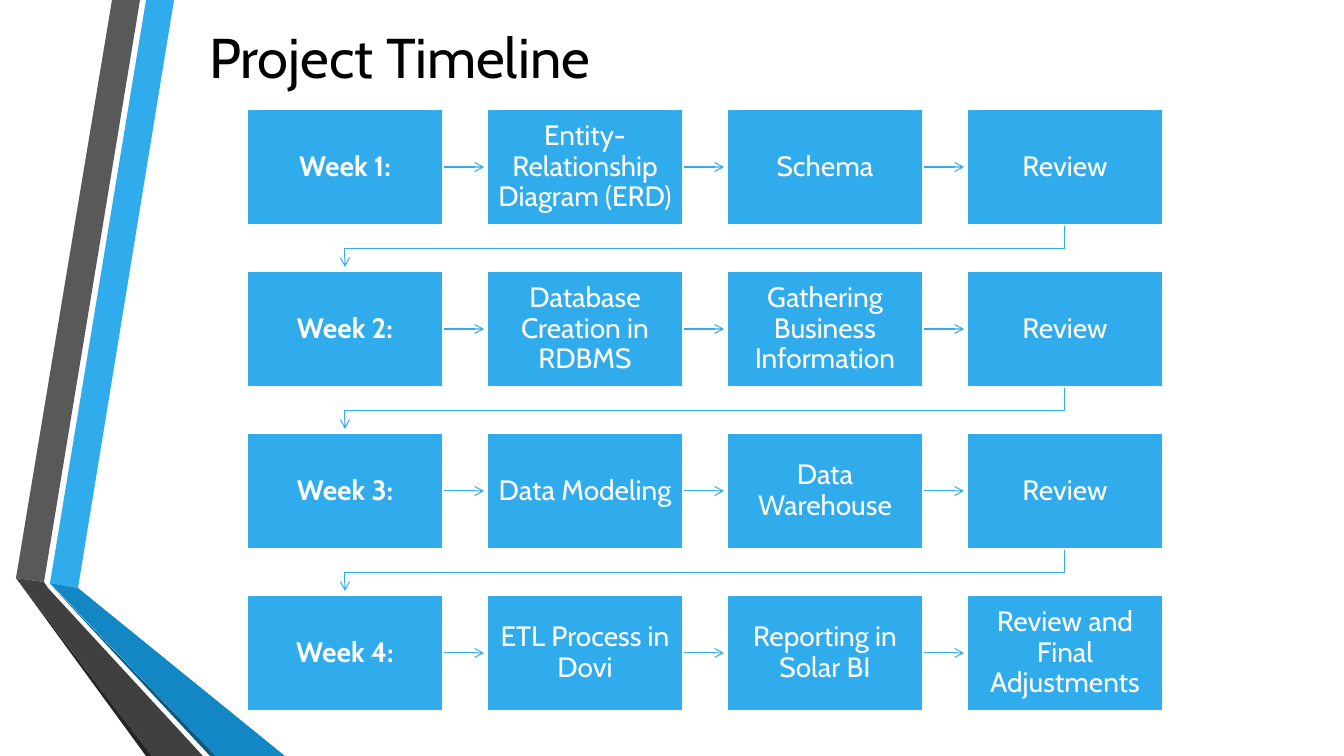
"""Draw a four-week project timeline as a grid of linked boxes."""
import pptx
import pptx.util
import pptx.dml.color
import pptx.enum.shapes
import pptx.enum.text
import pptx.oxml.ns
import lxml.etree

RGB = pptx.dml.color.RGBColor
BLACK = RGB(0x00, 0x00, 0x00)
WHITE = RGB(0xFF, 0xFF, 0xFF)
BLUE = RGB(0x30, 0xAC, 0xEC)
DEEP = RGB(0x12, 0x87, 0xC3)
NAVY = RGB(0x0C, 0x5A, 0x82)
GREY = RGB(0x59, 0x59, 0x59)
COAL = RGB(0x40, 0x40, 0x40)
SOOT = RGB(0x26, 0x26, 0x26)

SCALE = 914400 / 100.8
FONT = "Cabin"
LEFT, TOP = 247, 109
WIDE, HIGH = 196, 116
STEP_X, STEP_Y = 240, 162

BANDS = [
    (BLUE, [(50, 583), (78, 588), (174, 0), (146, 0)]),
    (GREY, [(140, 0), (112, 0), (16, 578), (44, 582)]),
    (SOOT, [(16, 578), (146, 756), (152, 756)]),
    (NAVY, [(50, 584), (210, 756), (216, 756)]),
    (DEEP, [(50, 583), (216, 756), (285, 756), (78, 588)]),
    (COAL, [(203, 756), (48, 588), (44, 582), (16, 578), (152, 756)]),
]
WEEKS = [
    ["Week 1:", "Entity-Relationship Diagram (ERD)", "Schema", "Review"],
    ["Week 2:", "Database Creation in RDBMS", "Gathering Business Information", "Review"],
    ["Week 3:", "Data Modeling", "Data Warehouse", "Review"],
    ["Week 4:", "ETL Process in Dovi", "Reporting in Solar BI", "Review and Final Adjustments"],
]


def px(*sizes):
    """Turn px into a list of EMU."""
    return [pptx.util.Emu(round(size * SCALE)) for size in sizes]


def write(frame, text, size, color, bold=False):
    """Put one centred run into a text frame."""
    frame.word_wrap = True
    frame.vertical_anchor = pptx.enum.text.MSO_ANCHOR.MIDDLE
    para = frame.paragraphs[0]
    para.alignment = pptx.enum.text.PP_ALIGN.CENTER
    para.line_spacing = 0.9
    run = para.add_run()
    run.text = text
    run.font.name = FONT
    run.font.size = pptx.util.Pt(size)
    run.font.bold = bold
    run.font.color.rgb = color


def trace(slide, points, close):
    """Build an outline through the points."""
    pen = slide.shapes.build_freeform(*points[0], scale=SCALE)
    pen.add_line_segments(points[1:], close=close)
    shape = pen.convert_to_shape()
    shape.shadow.inherit = False
    return shape


def add_band(slide, color, points):
    """Draw one filled band of the side ribbon."""
    band = trace(slide, points, True)
    band.fill.solid()
    band.fill.fore_color.rgb = color
    band.line.fill.background()


def tip(shape):
    """Give a line its colour, width and open arrowhead."""
    shape.line.color.rgb = BLUE
    shape.line.width = pptx.util.Pt(0.75)
    qn = pptx.oxml.ns.qn
    line = shape._element.spPr.find(qn("a:ln"))
    lxml.etree.SubElement(line, qn("a:tailEnd"), type="arrow")


def add_arrow(slide, x, y):
    """Draw a short arrow to the next box."""
    kind = pptx.enum.shapes.MSO_CONNECTOR.STRAIGHT
    arrow = slide.shapes.add_connector(kind, *px(x, y, x + 41, y))
    tip(arrow)
    lxml.etree.SubElement(arrow._element.spPr, pptx.oxml.ns.qn("a:effectLst"))
    return arrow


def add_turn(slide, start, end, y):
    """Draw the bent arrow down to the next week."""
    points = [(start, y), (start, y + 24), (end, y + 24), (end, y + 42)]
    turn = trace(slide, points, False)
    turn.fill.background()
    tip(turn)


def add_box(slide, x, y, text, bold):
    """Draw one step of the timeline."""
    kind = pptx.enum.shapes.MSO_SHAPE.RECTANGLE
    box = slide.shapes.add_shape(kind, *px(x, y, WIDE, HIGH))
    box.shadow.inherit = False
    box.fill.solid()
    box.fill.fore_color.rgb = BLUE
    box.line.color.rgb = WHITE
    box.line.width = pptx.util.Pt(1.25)
    frame = box.text_frame
    inset, = px(10)
    frame.margin_left = frame.margin_right = inset
    frame.margin_top = frame.margin_bottom = inset
    write(frame, text, 20, WHITE, bold)
    return box


def add_week(slide, row, steps):
    """Draw one week as a row of linked boxes."""
    y = TOP + row * STEP_Y
    last = len(steps) - 1
    for col, text in enumerate(steps):
        x = LEFT + col * STEP_X
        arrow = None
        if col < last:
            arrow = add_arrow(slide, x + WIDE, y + HIGH // 2)
        elif row < len(WEEKS) - 1:
            add_turn(slide, x + WIDE // 2, LEFT + WIDE // 2, y + HIGH)
        box = add_box(slide, x, y, text, col == 0)
        if arrow:
            arrow.begin_connect(box, 3)


def add_title(slide, text):
    """Place and fill the title."""
    title = slide.shapes.title
    title.left, title.top, title.width, title.height = px(163, 0, 473, 120)
    write(title.text_frame, text, 40, BLACK)


def main():
    """Build and save the slide."""
    deck = pptx.Presentation()
    deck.slide_width, deck.slide_height = px(1344, 756)
    slide = deck.slides.add_slide(deck.slide_layouts[5])
    for color, points in BANDS:
        add_band(slide, color, points)
    add_title(slide, "Project Timeline")
    for row, steps in enumerate(WEEKS):
        add_week(slide, row, steps)
    deck.save("out.pptx")


if __name__ == "__main__":
    main()
